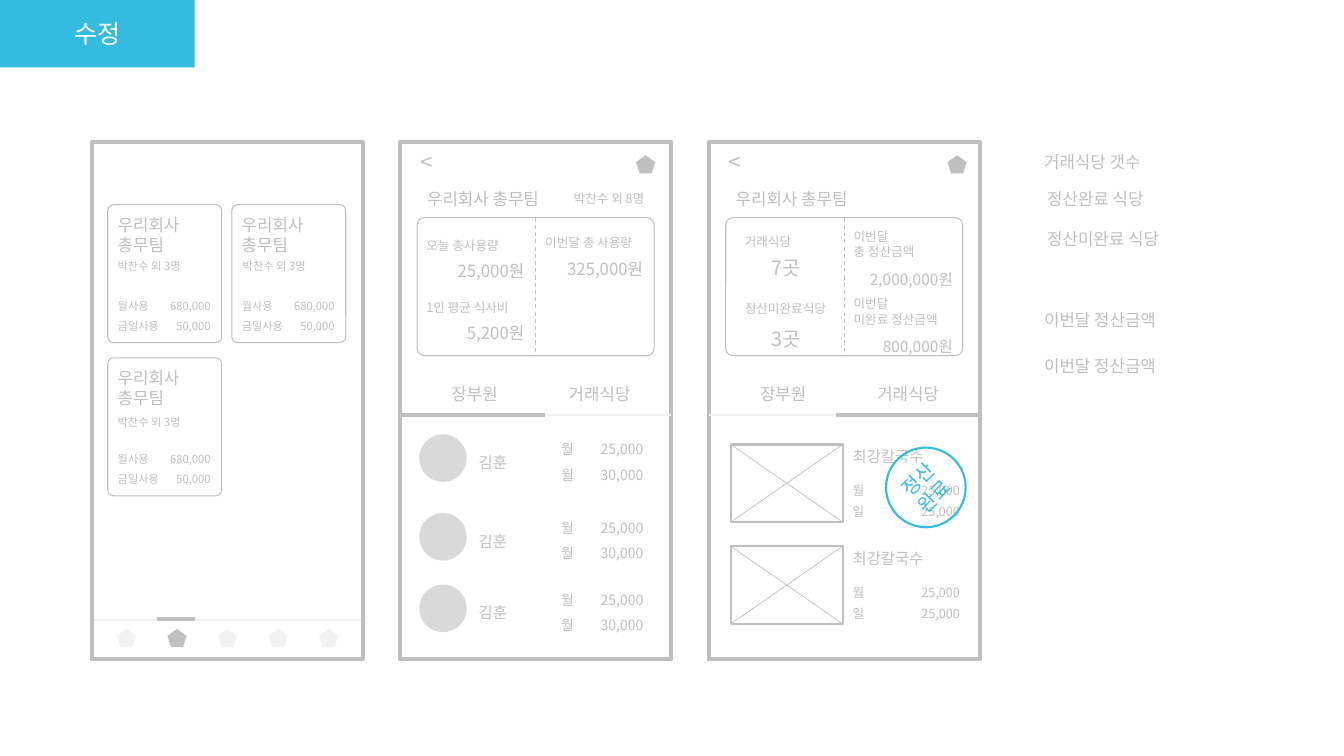
from lxml import etree
from pptx import Presentation
from pptx.dml.color import RGBColor
from pptx.enum.dml import MSO_LINE
from pptx.enum.shapes import MSO_CONNECTOR, MSO_SHAPE
from pptx.enum.text import MSO_ANCHOR, PP_ALIGN
from pptx.oxml.ns import qn
from pptx.util import Pt

COLORS = {"accent": "34BBE0", "gray": "BFBFBF", "avatar": "D9D9D9",
          "pale": "F2F2F2", "white": "FFFFFF"}
FONT = "Noto Sans CJK KR"
LEFT, CENTER, RIGHT = PP_ALIGN.LEFT, PP_ALIGN.CENTER, PP_ALIGN.RIGHT


def color(name):
    return RGBColor.from_string(COLORS[name])


class Wireframe:
    def __init__(self, slide):
        self.slide = slide

    def fill_text(self, shape, paragraphs, size, align=LEFT, spacing=None, ink="gray"):
        frame = shape.text_frame
        frame.word_wrap = True
        frame.vertical_anchor = MSO_ANCHOR.MIDDLE
        for index, content in enumerate(paragraphs):
            paragraph = frame.add_paragraph() if index else frame.paragraphs[0]
            paragraph.alignment = align
            if spacing:
                paragraph.line_spacing = spacing
            for number, line in enumerate(content.split("\n")):
                if number:
                    paragraph.add_line_break()
                run = paragraph.add_run()
                run.text = line
                run.font.size = Pt(size)
                run.font.name = FONT
                run.font.color.rgb = color(ink)
                latin = run.font._element.find(qn("a:latin"))
                east_asian = etree.Element(qn("a:ea"), typeface=FONT)
                latin.addnext(east_asian)

    def text(self, x, y, width, content, size, align=LEFT, spacing=None, height=27.4):
        box = self.slide.shapes.add_textbox(Pt(x), Pt(y), Pt(width), Pt(height))
        paragraphs = [content] if isinstance(content, str) else content
        self.fill_text(box, paragraphs, size, align, spacing)

    def shape(self, kind, x, y, width, height, fill=None, line=None, weight=0.75):
        shape = self.slide.shapes.add_shape(kind, Pt(x), Pt(y), Pt(width), Pt(height))
        shape.shadow.inherit = False
        if fill:
            shape.fill.solid()
            shape.fill.fore_color.rgb = color(fill)
        else:
            shape.fill.background()
        if line:
            shape.line.color.rgb = color(line)
            shape.line.width = Pt(weight)
        else:
            shape.line.fill.background()
        return shape

    def card(self, x, y, width):
        card = self.shape(MSO_SHAPE.ROUNDED_RECTANGLE, x, y, width, 98.6, "white", "gray")
        card.adjustments[0] = 0.052
        return card

    def icon(self, x, y, fill="gray"):
        self.shape(MSO_SHAPE.REGULAR_PENTAGON, x, y, 13.7, 13, fill)

    def line(self, x1, y1, x2, y2, ink="gray", weight=0.5):
        line = self.slide.shapes.add_connector(
            MSO_CONNECTOR.STRAIGHT, Pt(x1), Pt(y1), Pt(x2), Pt(y2))
        line.line.color.rgb = color(ink)
        line.line.width = Pt(weight)
        etree.SubElement(line._element.spPr, qn("a:effectLst"))
        return line

    def screen(self, x):
        self.shape(MSO_SHAPE.RECTANGLE, x, 101.5, 193.7, 369.4, line="gray", weight=3)

    def detail_screen(self, x, icon_x, active_start, active_end):
        """Screen with a back arrow, a team title, a split card and two tabs."""
        self.screen(x)
        self.text(x + 7.2, 101.5, 179.3, "<", 16)
        self.text(x + 12.2, 128.2, 169.2, "우리회사 총무팀", 12)
        card = self.card(x + 12.2, 155.5, 169.2)
        divider = self.line(x + 96.8, 155.5, x + 96.8, 254.1, weight=0.75)
        divider.line.dash_style = MSO_LINE.DASH
        divider.begin_connect(card, 0)
        divider.end_connect(card, 2)
        self.icon(icon_x, 110.9)
        for offset, label in ((18.7, "장부원"), (108, "거래식당")):
            self.text(x + offset, 267.8, 69.1, label, 12, CENTER)
        self.line(x, 296.6, x + 193.7, 296.6, "pale", 1.5)
        self.line(x + active_start, 296.6, x + active_end, 296.6, weight=3)

    def team_card(self, x, y, members_x, members_y):
        self.card(x, y, 81.4)
        self.text(x, y + 7.9, 81.4, ["우리회사", "총무팀"], 12)
        self.text(members_x, members_y, 81.4, "박찬수 외 3명", 8)
        self.text(x, y + 63.1, 51.8, ["월사용", "금일사용"], 8, spacing=1.5)
        self.text(x + 28.8, y + 63.1, 51.8, ["680,000", "50,000"], 8, RIGHT, 1.5)

    def member(self, y):
        self.shape(MSO_SHAPE.OVAL, 299.5, y, 33.9, 33.9, "avatar")
        self.text(334.8, y + 2.9, 72.7, "김훈", 11, spacing=1.5)
        self.text(393.8, y + 2.9, 33.8, "월\n월", 10, spacing=1.5)
        self.text(402.5, y + 2.9, 64.1, "25,000\n30,000", 10, RIGHT, 1.5)

    def restaurant(self, y):
        self.shape(MSO_SHAPE.RECTANGLE, 522, y, 79.9, 55.4, "white", "gray", 1.5)
        self.line(522, y, 601.9, y + 55.4)
        self.line(601.9, y, 522, y + 55.4)
        self.text(601.9, y - 5, 72.7, "최강칼국수", 11)
        for offset, period in ((13.7, "월"), (28.8, "일")):
            self.text(601.9, y + offset, 38.2, period, 9, spacing=1.5, height=33.1)
            self.text(636.5, y + offset, 56.2, "25,000", 9, RIGHT, 1.5, 33.1)


def main():
    presentation = Presentation()
    presentation.slide_width, presentation.slide_height = Pt(960), Pt(540)
    wireframe = Wireframe(presentation.slides.add_slide(presentation.slide_layouts[6]))

    # Title tab
    title = wireframe.shape(MSO_SHAPE.RECTANGLE, 0, 0, 139, 48.2, "accent")
    wireframe.fill_text(title, ["수정"], 18, CENTER, ink="white")

    # Team list screen with bottom navigation
    wireframe.line(65.5, 442.8, 259.2, 442.8, "pale", 1.5)
    for index in range(5):
        wireframe.icon(83.5 + 36.1 * index, 449.3, "gray" if index == 1 else "pale")
    wireframe.line(112.3, 442.4, 139, 442.4, weight=3)
    wireframe.screen(65.5)
    for placement in ((77, 146.2, 77, 176.4), (165.6, 146.2, 166.3, 176.4),
                      (77, 255.6, 77, 288)):
        wireframe.team_card(*placement)

    # Member screen
    wireframe.detail_screen(285.8, 454.3, 0, 103.7)
    wireframe.text(370.8, 128.2, 96.5, "박찬수 외 8명", 9, RIGHT)
    for x, y, label in ((297.4, 159.1, "오늘 총사용량"), (382.3, 157, "이번달 총 사용량"),
                        (297.4, 203, "1인 평균 식사비")):
        wireframe.text(x, y, 85, label, 9, spacing=1.5)
    for x, y, amount in ((304.6, 173.5, "25,000원"), (389.5, 172.1, "325,000원"),
                         (304.6, 217.4, "5,200원")):
        wireframe.text(x, y, 77, amount, 12, RIGHT, 1.5, 33.1)
    for y in (310.3, 366.5, 417.6):
        wireframe.member(y)

    # Restaurant screen
    wireframe.detail_screen(506.2, 676.8, 90.7, 193.7)
    for label_y, count_y, label, count in ((156.2, 173.5, "거래식당", "7곳"),
                                           (203.8, 223.9, "정산미완료식당", "3곳")):
        wireframe.text(524.9, label_y, 74, label, 9, spacing=1.5)
        wireframe.text(524.9, count_y, 72.7, count, 14, CENTER, 1.5)
    for label_y, amount_y, label, amount in (
            (160.6, 182.2, "총 정산금액", "2,000,000원"),
            (208.8, 230.4, "미완료 정산금액", "800,000원")):
        wireframe.text(602.6, label_y, 85, ["이번달", label], 9)
        wireframe.text(602.6, amount_y, 85, amount, 11, RIGHT, 1.5)
    for y in (317.5, 390.2):
        wireframe.restaurant(y)

    # Settlement stamp
    stamp = wireframe.shape(MSO_SHAPE.OVAL, 632.9, 319.7, 56.9, 56.9,
                            line="accent", weight=1.5)
    stamp.rotation = 315
    wireframe.fill_text(stamp, ["정산완료"], 14, CENTER, ink="accent")

    # Side notes
    for x, y, note in ((738.7, 101.5, "거래식당 갯수"), (740.9, 128.2, "정산완료 식당"),
                       (740.9, 157, "정산미완료 식당"), (738.7, 214.6, "이번달 정산금액"),
                       (738.7, 247.7, "이번달 정산금액")):
        wireframe.text(x, y, 150.5, note, 12)

    presentation.save("out.pptx")


if __name__ == "__main__":
    main()
